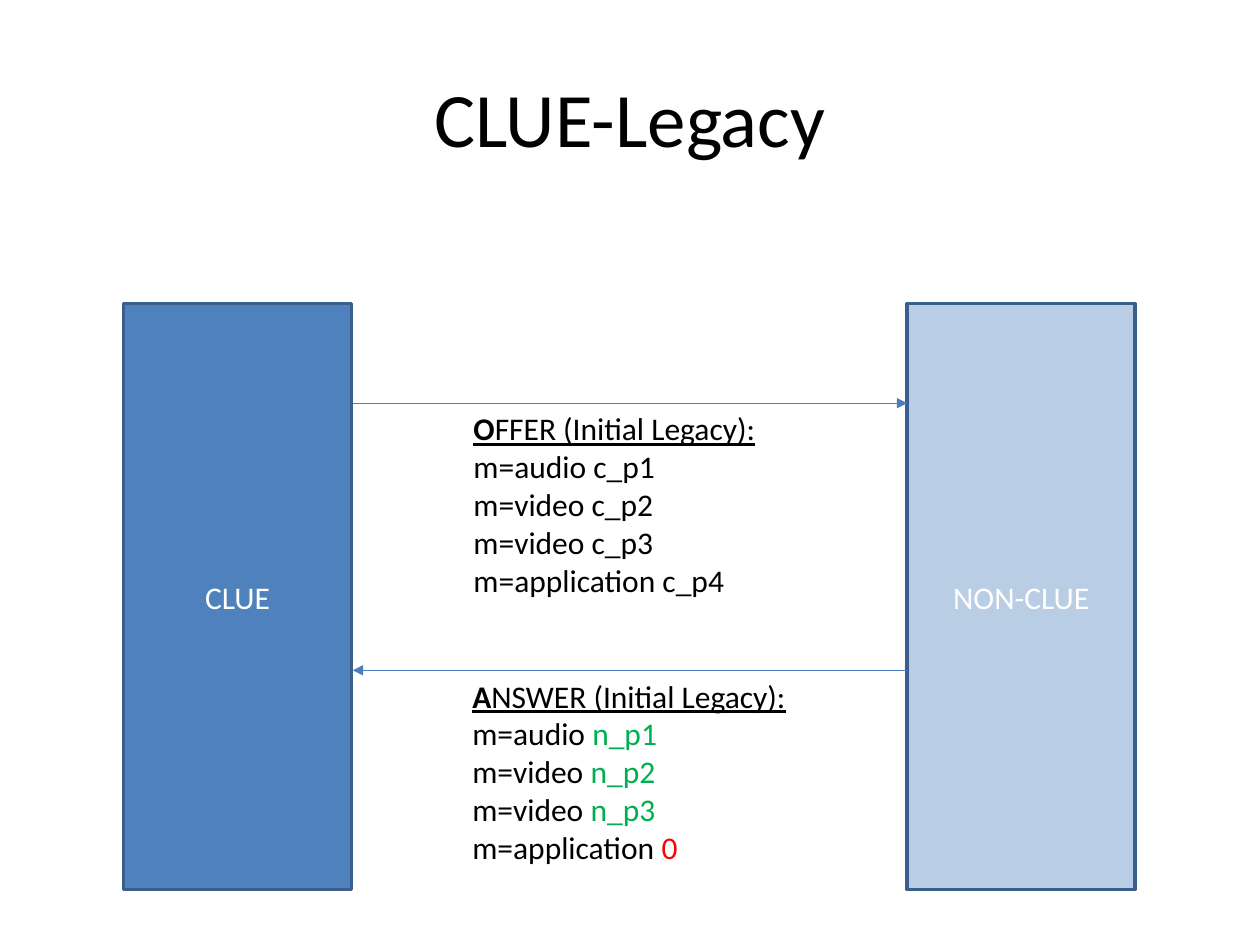
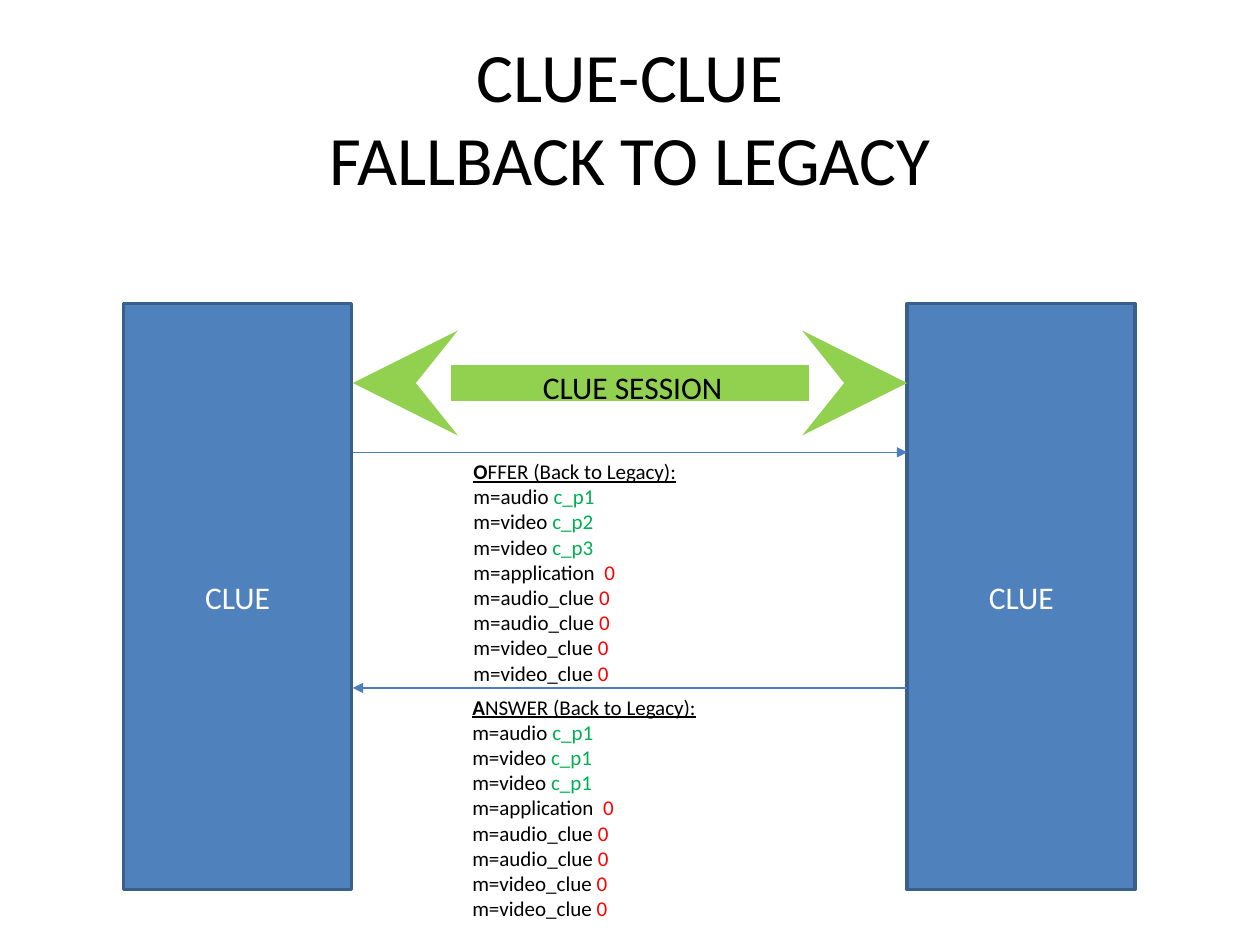
from dataclasses import dataclass

from pptx import Presentation
from pptx.dml.color import RGBColor
from pptx.enum.shapes import MSO_CONNECTOR, MSO_SHAPE
from pptx.enum.text import MSO_ANCHOR, MSO_AUTO_SIZE, PP_ALIGN
from pptx.oxml.ns import qn
from pptx.util import Inches, Pt
from lxml.etree import SubElement


@dataclass(frozen=True)
class Theme:
    font: str = "Calibri"
    black: str = "000000"
    white: str = "FFFFFF"
    blue: str = "4F81BD"
    pale: str = "B9CDE5"
    edge: str = "3A5F8C"
    wire: str = "4B7EBC"
    lime: str = "92D050"
    green: str = "00B050"
    red: str = "FF0000"
    title: float = 44
    tight: float = 39.6
    body: float = 18
    small: float = 12


THEME = Theme()
LEFT, RIGHT = 2.8, 7.2


def paint(color):
    return RGBColor.from_string(color)


def write(frame, lines, size=THEME.body, color=THEME.black, align=PP_ALIGN.LEFT):
    for index, line in enumerate(lines):
        para = frame.paragraphs[0] if index == 0 else frame.add_paragraph()
        para.alignment = align
        for text, style in line:
            for row, part in enumerate(text.split("\n")):
                if row:
                    para.add_line_break()
                run = para.add_run()
                run.text = part
                font = run.font
                font.name = THEME.font
                font.size = Pt(size)
                font.bold = style.get("bold", False)
                font.underline = style.get("under", False)
                font.color.rgb = paint(style.get("color", color))


def plain(text):
    return [(text, {})]


def head(text):
    return [(text[0], {"bold": True, "under": True}), (text[1:], {"under": True})]


def media(name, port):
    tone = THEME.red if port == "0" else THEME.green
    return [(f"m={name} ", {}), (port, {"color": tone})]


def add_title(slide, text, size=THEME.title):
    box = slide.shapes.add_textbox(Inches(0.5), Inches(0.3), Inches(9), Inches(1.25))
    frame = box.text_frame
    frame.word_wrap = True
    frame.vertical_anchor = MSO_ANCHOR.MIDDLE
    write(frame, [plain(text)], size=size, align=PP_ALIGN.CENTER)


def add_peer(slide, left, name, fill=THEME.blue):
    peer = slide.shapes.add_shape(
        MSO_SHAPE.RECTANGLE, Inches(left), Inches(2.41), Inches(1.81), Inches(4.65))
    peer.shadow.inherit = False
    peer.fill.solid()
    peer.fill.fore_color.rgb = paint(fill)
    peer.line.color.rgb = paint(THEME.edge)
    peer.line.width = Pt(2)
    frame = peer.text_frame
    frame.vertical_anchor = MSO_ANCHOR.MIDDLE
    write(frame, [plain(name)], color=THEME.white, align=PP_ALIGN.CENTER)


def add_arrow(slide, top, ends, color=THEME.wire, width=0.75, tip="triangle"):
    arrow = slide.shapes.add_connector(
        MSO_CONNECTOR.STRAIGHT, Inches(LEFT), Inches(top), Inches(RIGHT), Inches(top))
    arrow.line.color.rgb = paint(color)
    arrow.line.width = Pt(width)
    props = arrow._element.spPr
    for end in ends:
        SubElement(props.find(qn("a:ln")), qn(f"a:{end}"), type=tip)
    SubElement(props, qn("a:effectLst"))


def add_note(slide, left, top, width, height, lines, size=THEME.body):
    box = slide.shapes.add_textbox(
        Inches(left), Inches(top), Inches(width), Inches(height))
    frame = box.text_frame
    frame.word_wrap = False
    frame.auto_size = MSO_AUTO_SIZE.SHAPE_TO_FIT_TEXT
    write(frame, lines, size=size)


def add_offer(slide, top, width, height, lines, size=THEME.body):
    add_arrow(slide, top, ["tailEnd"])
    add_note(slide, 3.66, top, width, height, lines, size)


def add_answer(slide, top, width, height, lines, size=THEME.body):
    add_arrow(slide, top, ["headEnd"])
    add_note(slide, 3.65, top, width, height, lines, size)


def draw_legacy(slide):
    add_title(slide, "CLUE-Legacy")
    add_peer(slide, 0.98, "CLUE")
    add_peer(slide, RIGHT, "NON-CLUE", THEME.pale)
    asked = ["m=audio c_p1", "m=video c_p2", "m=video c_p3", "m=application c_p4"]
    add_offer(slide, 3.2, 2.47, 1.62,
              [head("OFFER (Initial Legacy):"), *map(plain, asked)])
    given = [("audio", "n_p1"), ("video", "n_p2"), ("video", "n_p3"),
             ("application", "0")]
    add_answer(slide, 5.32, 2.72, 1.62,
               [head("ANSWER (Initial Legacy):"), *(media(*item) for item in given)])


def draw_fallback(slide):
    add_title(slide, "CLUE-CLUE\nFALLBACK TO LEGACY", THEME.tight)
    for left in (0.98, RIGHT):
        add_peer(slide, left, "CLUE")
    kinds = ["audio", "video", "video"]
    closed = ["application ", "audio_clue", "audio_clue", "video_clue", "video_clue"]
    shut = [media(name, "0") for name in closed]
    asked = [media(*item) for item in zip(kinds, ["c_p1", "c_p2", "c_p3"])]
    given = [media(name, "c_p1") for name in kinds]
    add_offer(slide, 3.59, 1.83, 1.92,
              [head("OFFER (Back to Legacy):"), *asked, *shut], THEME.small)
    add_answer(slide, 5.46, 2, 1.92,
               [head("ANSWER (Back to Legacy):"), *given, *shut], THEME.small)
    add_arrow(slide, 3.04, ["headEnd", "tailEnd"], THEME.lime, 20, "stealth")
    add_note(slide, 4.21, 2.87, 1.64, 0.4, [plain("CLUE SESSION")])


def main():
    deck = Presentation()
    deck.slide_width, deck.slide_height = Inches(10), Inches(7.5)
    for draw in (draw_legacy, draw_fallback):
        draw(deck.slides.add_slide(deck.slide_layouts[6]))
    deck.save("out.pptx")


if __name__ == "__main__":
    main()
